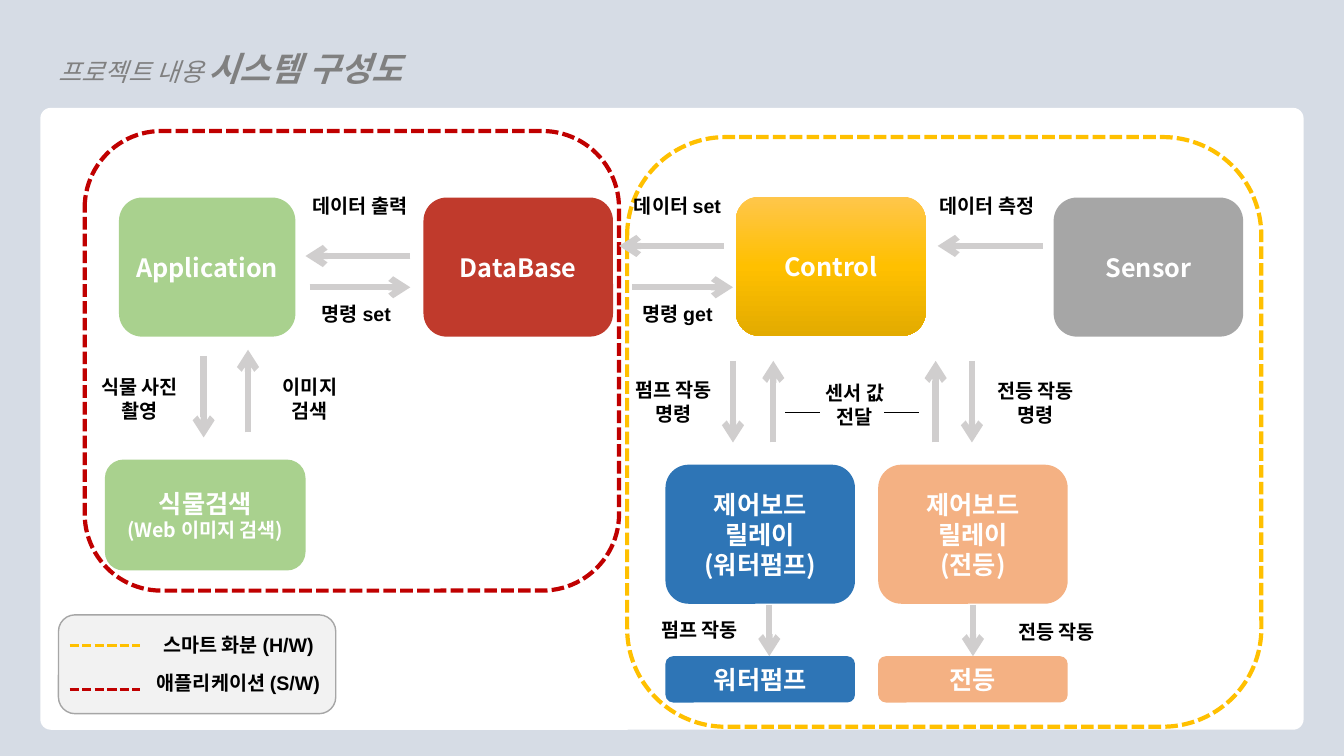
from copy import deepcopy
from pptx import Presentation
from pptx.dml.color import RGBColor
from pptx.enum.dml import MSO_LINE as Dash
from pptx.enum.shapes import MSO_CONNECTOR as Conn, MSO_SHAPE as Shape
from pptx.enum.text import MSO_ANCHOR as Anchor, PP_ALIGN as Align
from pptx.oxml.ns import qn
from pptx.util import Inches, Pt

# Content
KOREAN, LATIN = "Noto Sans CJK KR", "Arial"
RED, GOLD, GREEN, BLUE, PEACH = "C00000", "FFC000", "A9D18E", "2E75B6", "F4B183"
GRAY, BLACK, WHITE = "D0CECE", "000000", "FFFFFF"
SHADES = [(0, "FFC64B"), (0.5, GOLD), (1, "E3AB00")]

TITLE = [("프로젝트 내용 ", 18, False), ("시스템 구성도", 24, True)]

# left, top, width, height, corner, fill, line colour
PANELS = [
    (0.4, 1.07, 12.53, 6.17, 0.017, WHITE, None),
    (0.58, 6.1, 2.75, 0.98, 0.167, "F2F2F2", "A6A6A6"),
]
FRAMES = [(0.84, 1.3, 5.3, 4.56, RED), (6.22, 1.36, 6.29, 5.85, GOLD)]

# left, top, width, height, fill, lines of (text, size)
W, H = 1.88, 1.38
PUMP, LAMP = 6.6, 8.71
BOXES = [
    (1.18, 1.96, 1.75, H, GREEN, [("Application", 18)]),
    (4.2, 1.96, W, H, "C03A2C", [("DataBase", 18)]),
    (7.3, 1.95, W, H, SHADES, [("Control", 18)]),
    (10.45, 1.96, W, H, "A6A6A6", [("Sensor", 18)]),
    (1.04, 4.56, 1.99, 1.1, GREEN, [("식물검색", 18), ("(Web 이미지 검색)", 14)]),
    (PUMP, 4.61, W, H, BLUE, [("제어보드", 18), ("릴레이", 18), ("(워터펌프)", 18)]),
    (LAMP, 4.61, W, H, PEACH, [("제어보드", 18), ("릴레이", 18), ("(전등)", 18)]),
    (PUMP, 6.51, W, 0.46, BLUE, [("워터펌프", 18)]),
    (LAMP, 6.51, W, 0.46, PEACH, [("전등", 18)]),
]

# from x, from y, to x, to y
ARROWS = [
    (4.07, 2.54, 3.03, 2.54), (3.07, 2.85, 4.07, 2.85),
    (7.18, 2.44, 6.14, 2.44), (6.27, 2.85, 7.27, 2.85),
    (10.34, 2.44, 9.3, 2.44),
    (2.02, 3.53, 2.02, 4.34), (2.46, 4.29, 2.46, 3.47),
    (7.27, 3.58, 7.27, 4.39), (7.67, 4.39, 7.67, 3.58),
    (9.28, 4.39, 9.28, 3.58), (9.64, 3.58, 9.64, 4.39),
    (7.63, 6, 7.63, 6.51), (9.65, 6, 9.65, 6.51),
]
RULES = [(7.79, 4.09, 8.13, 4.09), (8.77, 4.09, 9.12, 4.09)]

# left, top, width, lines
LABELS = [
    (2.87, 1.87, 1.4, ["데이터 출력"]), (2.46, 2.95, 2.15, ["명령 set"]),
    (5.99, 1.87, 1.46, ["데이터 set"]), (5.99, 2.95, 1.46, ["명령 get"]),
    (9.13, 1.87, 1.32, ["데이터 측정"]),
    (0.84, 3.67, 1.09, ["식물 사진", "촬영"]), (2.52, 3.67, 1.11, ["이미지", "검색"]),
    (6.14, 3.7, 1.08, ["펌프 작동 명령"]), (7.94, 3.73, 1.08, ["센서 값", "전달"]),
    (9.73, 3.71, 1.08, ["전등 작동", "명령"]),
    (6.4, 6.08, 1.08, ["펌프 작동"]), (9.94, 6.1, 1.08, ["전등 작동"]),
]
# colour, line height, label top, label
LEGEND = [(GOLD, 6.4, 6.23, "스마트 화분 (H/W)"), (RED, 6.84, 6.61, "애플리케이션 (S/W)")]


def rgb(code):
    return RGBColor.from_string(code)


def style(run, color, name, **values):
    run.font.color.rgb = rgb(color)
    for key, value in {"name": name, **values}.items():
        setattr(run.font, key, value)
    east = run.font._element.makeelement(qn("a:ea"), {"typeface": KOREAN})
    run.font._element.find(qn("a:latin")).addnext(east)


def write(frame, lines, color, name):
    frame.word_wrap = True
    for i, (text, size) in enumerate(lines):
        para = frame.add_paragraph() if i else frame.paragraphs[0]
        para.alignment = Align.CENTER
        run = para.add_run()
        run.text = text
        style(run, color, name, size=Pt(size), bold=True)


def shade(shape, stops):
    shape.fill.gradient()
    shape.fill.gradient_angle = 270
    group = shape._element.spPr.find(".//" + qn("a:gsLst"))
    group.append(deepcopy(group[0]))
    for stop, (place, color) in zip(shape.fill.gradient_stops, stops):
        stop.position = place
        stop.color.rgb = rgb(color)


def block(x, y, w, h, fill=None, corner=0.167):
    shape = slide.shapes.add_shape(Shape.ROUNDED_RECTANGLE, *map(Inches, (x, y, w, h)))
    shape.adjustments[0] = corner
    shape.shadow.inherit = False
    shape.line.fill.background()
    if fill is None:
        shape.fill.background()
    elif isinstance(fill, list):
        shade(shape, fill)
    else:
        shape.fill.solid()
        shape.fill.fore_color.rgb = rgb(fill)
    return shape


def ink(line, color, width, dash=None):
    line.color.rgb = rgb(color)
    line.width = Pt(width)
    if dash:
        line.dash_style = dash


def draw(ends, color, width, dash=None, head=False):
    link = slide.shapes.add_connector(Conn.STRAIGHT, *map(Inches, ends))
    ink(link.line, color, width, dash)
    props = link._element.spPr
    if head:
        edge = props.find(qn("a:ln"))
        edge.append(edge.makeelement(qn("a:tailEnd"), {"type": "arrow"}))
    props.append(props.makeelement(qn("a:effectLst"), {}))


def label(x, y, w, lines):
    height = 0.34 if len(lines) == 1 else 0.57
    box = slide.shapes.add_textbox(*map(Inches, (x, y, w, height)))
    write(box.text_frame, [(text, 14) for text in lines], BLACK, LATIN)


# Slide and title
deck = Presentation()
deck.slide_width, deck.slide_height = Inches(13.33), Inches(7.5)
slide = deck.slides.add_slide(deck.slide_layouts[5])
slide.background.fill.solid()
slide.background.fill.fore_color.rgb = rgb("D6DCE5")

title = slide.shapes.title
title.left, title.top, title.width, title.height = map(Inches, (0.48, 0.23, 4.84, 0.71))
title.text_frame.vertical_anchor = Anchor.TOP
para = title.text_frame.paragraphs[0]
para.alignment, para.line_spacing = Align.LEFT, 1.5
for text, size, bold in TITLE:
    run = para.add_run()
    run.text = text
    style(run, "808080", KOREAN, size=Pt(size), bold=bold, italic=True)

# Panels, boxes and dashed frames
for *area, corner, fill, edge in PANELS:
    panel = block(*area, fill, corner)
    if edge:
        ink(panel.line, edge, 1)
for *area, fill, lines in BOXES:
    box = block(*area, fill)
    box.text_frame.vertical_anchor = Anchor.MIDDLE
    write(box.text_frame, lines, WHITE, KOREAN)
for *area, color in FRAMES:
    ink(block(*area).line, color, 3, Dash.SQUARE_DOT)

# Arrows, rules and labels
for ends in ARROWS:
    draw(ends, GRAY, 4.5, head=True)
for ends in RULES:
    draw(ends, BLACK, 0.5)
for item in LABELS:
    label(*item)

# Legend
for color, y, top, text in LEGEND:
    draw((0.69, y, 1.39, y), color, 2.25, Dash.SQUARE_DOT)
    label(1.39, top, 1.95, [text])

deck.save("out.pptx")
